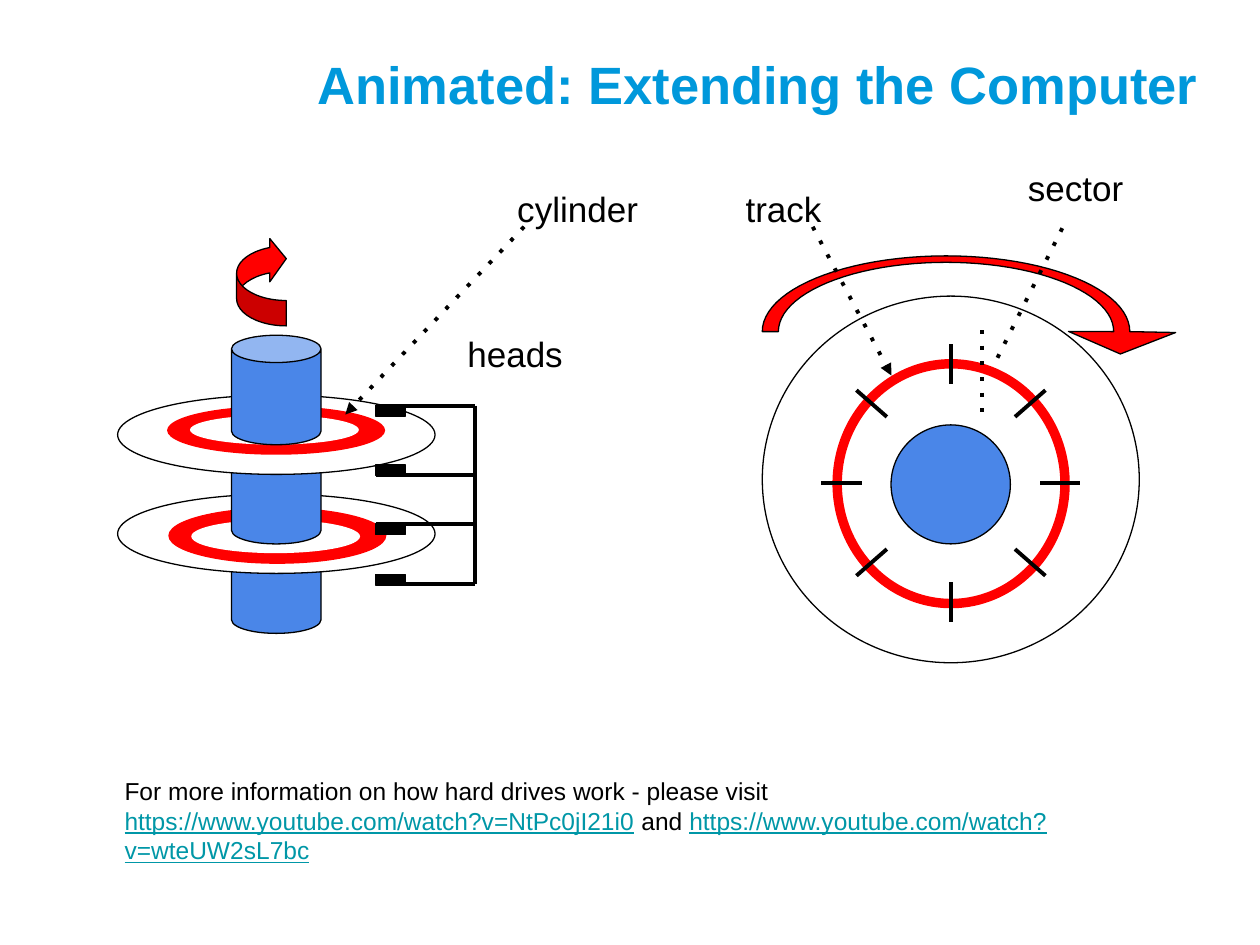
from dataclasses import dataclass
from itertools import product
from math import cos, pi, sin
from typing import Optional

from lxml.etree import SubElement
from pptx import Presentation
from pptx.dml.color import RGBColor as Rgb
from pptx.enum.shapes import MSO_CONNECTOR as Connector, MSO_SHAPE as Preset
from pptx.enum.text import MSO_ANCHOR as Anchor, MSO_AUTO_SIZE as AutoSize, PP_ALIGN as Align
from pptx.oxml.ns import qn
from pptx.util import Pt

COLORS = {
    "title": "0098DB",
    "spindle": "4A86E8",
    "track": "FF0000",
    "ink": "000000",
    "paper": "FFFFFF",
    "link": "0097A7",
}
FONT = "Arial"


@dataclass
class Figure:
    preset: Preset
    left: float
    top: float
    width: float
    height: float
    fill: Optional[str] = None
    outlined: bool = True
    adjustments: tuple = ()
    rotation: float = 0


@dataclass
class Stroke:
    x1: float
    y1: float
    x2: float
    y2: float
    dotted: bool = False
    arrow: bool = False


@dataclass
class Label:
    text: str
    left: float
    top: float
    width: float


def paint(shape, fill: Optional[str], outlined: bool) -> None:
    shape.shadow.inherit = False
    if fill:
        shape.fill.solid()
        shape.fill.fore_color.rgb = Rgb.from_string(COLORS[fill])
    else:
        shape.fill.background()
    if outlined:
        shape.line.color.rgb = Rgb.from_string(COLORS["ink"])
        shape.line.width = Pt(0.75)
    else:
        shape.line.fill.background()


def draw_figure(page, figure: Figure) -> None:
    shape = page.shapes.add_shape(figure.preset, Pt(figure.left), Pt(figure.top),
                                  Pt(figure.width), Pt(figure.height))
    for index, value in enumerate(figure.adjustments):
        shape.adjustments[index] = value
    shape.rotation = figure.rotation
    paint(shape, figure.fill, figure.outlined)


def draw_stroke(page, stroke: Stroke) -> None:
    line = page.shapes.add_connector(Connector.STRAIGHT, Pt(stroke.x1), Pt(stroke.y1),
                                     Pt(stroke.x2), Pt(stroke.y2))
    line.line.color.rgb = Rgb.from_string(COLORS["ink"])
    line.line.width = Pt(2.25)
    outline = line.get_or_add_ln()
    if stroke.dotted:
        SubElement(outline, qn("a:prstDash"), val="dot")
    if stroke.arrow:
        SubElement(outline, qn("a:tailEnd"), type="triangle")
    SubElement(line.element.spPr, qn("a:effectLst"))


def format_span(span, size: float, color: str) -> None:
    span.font.name = FONT
    span.font.size = Pt(size)
    span.font.color.rgb = Rgb.from_string(COLORS[color])


def add_box(page, left: float, top: float, width: float, height: float, inset: float):
    box = page.shapes.add_textbox(Pt(left), Pt(top), Pt(width), Pt(height))
    frame = box.text_frame
    frame.word_wrap = True
    frame.margin_left = frame.margin_right = Pt(7.2)
    frame.margin_top = frame.margin_bottom = Pt(inset)
    return frame


def draw_label(page, label: Label) -> None:
    frame = add_box(page, label.left, label.top, label.width, 31, 3.6)
    frame.text = label.text
    format_span(frame.paragraphs[0].runs[0], 20, "ink")


def draw_title(page) -> None:
    title = page.shapes.title
    title.left, title.top, title.width, title.height = Pt(174.2), Pt(23), Pt(530.6), Pt(49.7)
    frame = title.text_frame
    frame.text = "Animated: Extending the Computer"
    frame.auto_size = AutoSize.NONE
    frame.vertical_anchor = Anchor.BOTTOM
    frame.margin_left = frame.margin_right = frame.margin_top = frame.margin_bottom = Pt(7.2)
    para = frame.paragraphs[0]
    para.alignment = Align.LEFT
    format_span(para.runs[0], 30, "title")
    para.runs[0].font.bold = True


def draw_footer(page) -> None:
    para = add_box(page, 64.1, 436.3, 568, 80.6, 7.2).paragraphs[0]
    pieces = [
        ("For more information on how hard drives work - please visit ", False),
        ("https://www.youtube.com/watch?v=NtPc0jI21i0", True),
        (" and ", False),
        ("https://www.youtube.com/watch?v=wteUW2sL7bc", True),
    ]
    for text, is_link in pieces:
        span = para.add_run()
        span.text = text
        format_span(span, 14, "link" if is_link else "ink")
        span.font.underline = is_link


def draw_rotation_arrow(page) -> None:
    center_x, center_y, steps = 540.6, 189.5, 48

    def arc(radius_x: float, radius_y: float) -> list:
        angles = [pi * step / steps for step in range(steps + 1)]
        return [(center_x - radius_x * cos(a), center_y - radius_y * sin(a)) for a in angles]

    head = [(671.8, 190), (640.2, 202.3), (610.6, 189.4)]
    points = arc(105, 43.3) + head + arc(95.8, 39.6)[::-1]
    points = [(Pt(x), Pt(y)) for x, y in points]
    builder = page.shapes.build_freeform(*points[0])
    builder.add_line_segments(points[1:], close=True)
    paint(builder.convert_to_shape(), "track", True)


def spindle(top: float) -> Figure:
    return Figure(Preset.CAN, 132.3, top, 51.2, 62.6, "spindle", adjustments=(0.305,))


def platter(top: float, ring_top: float, ring_height: float,
            hole_top: float, hole_height: float, shift: float) -> list:
    return [
        Figure(Preset.OVAL, 67.2, top, 181.4, 45.3, "paper"),
        Figure(Preset.OVAL, 95.5 + shift, ring_top, 124.6, ring_height, "track", False),
        Figure(Preset.OVAL, 108.6 + shift, hole_top, 96.5, hole_height, "paper", False),
    ]


def sector_ticks(center_x: float, center_y: float) -> list:
    horizontal, vertical, diagonal = (51, 74), (56.8, 79.4), ((36.6, 37.8), (54, 53))
    ticks = []
    for sign in (-1, 1):
        ticks.append(Stroke(center_x + sign * horizontal[0], center_y,
                            center_x + sign * horizontal[1], center_y))
        ticks.append(Stroke(center_x, center_y + sign * vertical[0],
                            center_x, center_y + sign * vertical[1]))
    for sign_x, sign_y in product((-1, 1), repeat=2):
        (x1, y1), (x2, y2) = diagonal
        ticks.append(Stroke(center_x + sign_x * x1, center_y + sign_y * y1,
                            center_x + sign_x * x2, center_y + sign_y * y2))
    return ticks


def main() -> None:
    deck = Presentation()
    deck.slide_width, deck.slide_height = Pt(720), Pt(540)
    page = deck.slides.add_slide(deck.slide_layouts[5])
    draw_title(page)

    figures = [
        Figure(Preset.OVAL, 435.6, 169.2, 215.4, 209.5),
        Figure(Preset.DONUT, 475.7, 205.2, 135.6, 142.4, "track", False, (0.04,)),
        Figure(Preset.OVAL, 509.2, 242.8, 68.2, 68, "spindle"),
        spindle(299.4), *platter(282.4, 290, 32.2, 297, 19.1, 0.7),
        spindle(248.3), *platter(225.8, 232, 27.9, 237.2, 16.9, 0),
        spindle(191.6),
        Figure(Preset.CURVED_LEFT_ARROW, 135.2, 135.4, 28.4, 50.8, "track",
               adjustments=(0.51, 0.871, 0.333), rotation=180),
    ]
    figures += [Figure(Preset.RECTANGLE, 214.6, top, 17, 6, "ink")
                for top in (231.8, 265.7, 299.5, 328.3)]
    for figure in figures:
        draw_figure(page, figure)
    draw_rotation_arrow(page)

    arms = (231.8, 271.2, 299.5, 333.6)
    strokes = [Stroke(271.4, arms[0], 271.4, arms[-1])]
    strokes += [Stroke(214.6, y, 271.4, y) for y in arms]
    strokes += sector_ticks(543.4, 276)
    strokes += [
        Stroke(299.5, 129.6, 197.3, 236.9, dotted=True, arrow=True),
        Stroke(464.4, 129.6, 509.4, 214.6, dotted=True, arrow=True),
        Stroke(561, 188.6, 561, 241.9, dotted=True),
        Stroke(570, 204.5, 607.4, 129.6, dotted=True),
    ]
    for stroke in strokes:
        draw_stroke(page, stroke)

    for label in (Label("heads", 260, 186.5, 124.6), Label("track", 419, 103.7, 96.5),
                  Label("cylinder", 288.5, 103.7, 124.6), Label("sector", 580.3, 91.4, 112.3)):
        draw_label(page, label)
    draw_footer(page)
    deck.save("out.pptx")


if __name__ == "__main__":
    main()
